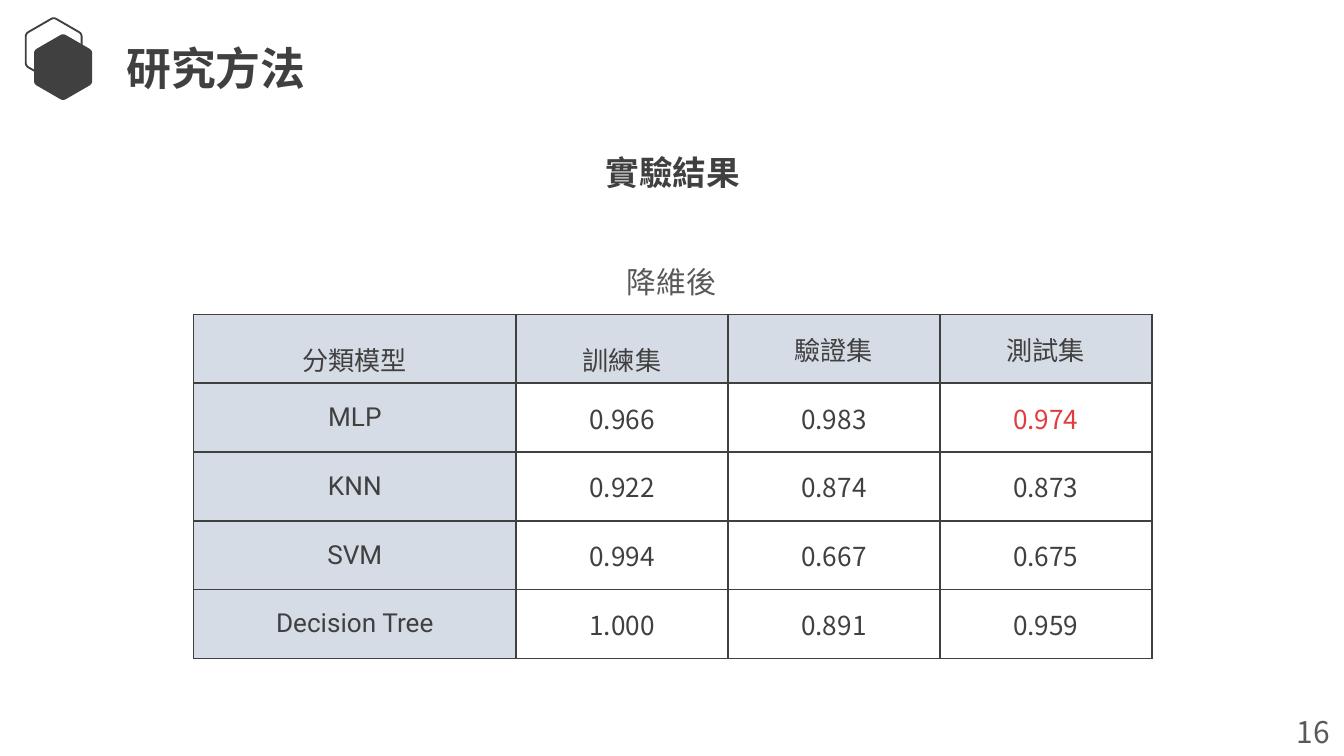
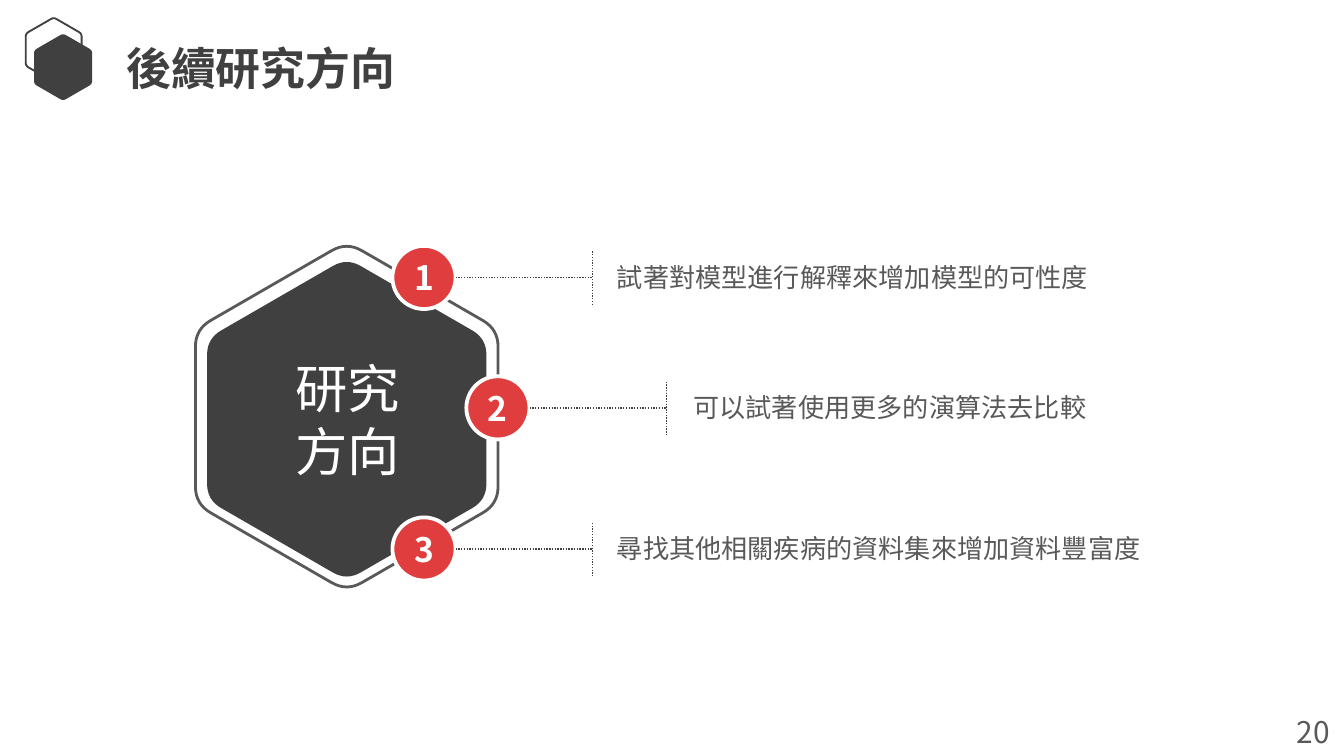
import math
from dataclasses import dataclass

import lxml.etree
import pptx
import pptx.dml.color
import pptx.enum.dml
import pptx.enum.shapes
import pptx.enum.text
import pptx.oxml.ns
import pptx.util

Inches = pptx.util.Inches
Align = pptx.enum.text.PP_ALIGN
Anchor = pptx.enum.text.MSO_ANCHOR
qn = pptx.oxml.ns.qn


@dataclass(frozen=True)
class Theme:
    dark: str = "404040"
    gray: str = "595959"
    red: str = "E03E3E"
    white: str = "FFFFFF"
    header: str = "D6DCE5"
    font: str = "Noto Sans CJK JP"
    latin: str = "Roboto"
    title: int = 24
    subtitle: int = 18
    caption: int = 16
    body: int = 14
    hub: int = 28


THEME = Theme()
SLIDE_WIDTH = 10
SLIDE_HEIGHT = SLIDE_WIDTH * 9 / 16
NO_INSETS = (0, 0)
DEFAULT_INSETS = (0.1, 0.05)
SMALL_INSETS = (0.07, 0.04)
CAPTION_INSETS = (0.11, 0.06)

RESULTS = {
    "title": "研究方法",
    "title_width": 3.54,
    "number": "16",
    "subtitle": "實驗結果",
    "caption": "降維後",
    "rows": [
        ("分類模型", "訓練集", "驗證集", "測試集"),
        ("MLP", "0.966", "0.983", "0.974"),
        ("KNN", "0.922", "0.874", "0.873"),
        ("SVM", "0.994", "0.667", "0.675"),
        ("Decision Tree", "1.000", "0.891", "0.959"),
    ],
    "best": "0.974",
    "place": (1.44, 2.34, 7.13, 2.56),
    "model_width": 2.4,
}

DIRECTIONS = {
    "title": "後續研究方向",
    "title_width": 2.32,
    "number": "20",
    "hub": "研究\n方向",
    "points": [
        ("試著對模型進行解釋來增加模型的可性度", 2.92, 1.83, 4.59, 3.95),
        ("可以試著使用更多的演算法去比較", 3.47, 2.8, 5.16, 3.39),
        ("尋找其他相關疾病的資料集來增加資料豐富度", 2.92, 3.85, 4.59, 3.95),
    ],
}
BADGE = 0.47
LEADER = 1.02
TICK = 0.39
LABEL_HEIGHT = 0.24
HEXAGON_ROUNDING = 0.1


def rgb(color):
    return pptx.dml.color.RGBColor.from_string(color)


def paint(target, color):
    target.fill.solid()
    target.fill.fore_color.rgb = rgb(color)


def outline(shape, color, width):
    shape.line.color.rgb = rgb(color)
    shape.line.width = pptx.util.Pt(width)


def write(para, text, size, color, bold=False, font=THEME.font, align=Align.LEFT, spacing=None):
    para.text = text
    para.alignment = align
    if spacing:
        para.line_spacing = spacing
    para.font.size = pptx.util.Pt(size)
    para.font.bold = bold
    para.font.name = font
    para.font.color.rgb = rgb(color)
    properties = para._p.pPr.find(qn("a:defRPr"))
    lxml.etree.SubElement(properties, qn("a:ea"), typeface=THEME.font)


def set_insets(frame, insets):
    frame.margin_left = frame.margin_right = Inches(insets[0])
    frame.margin_top = frame.margin_bottom = Inches(insets[1])


def add_text(page, place, text, size, color, insets=DEFAULT_INSETS, wrap=True,
             anchor=Anchor.TOP, **style):
    box = page.shapes.add_textbox(*map(Inches, place))
    frame = box.text_frame
    frame.word_wrap = wrap
    frame.auto_size = pptx.enum.text.MSO_AUTO_SIZE.SHAPE_TO_FIT_TEXT
    frame.vertical_anchor = anchor
    set_insets(frame, insets)
    write(frame.paragraphs[0], text, size, color, **style)


def hexagon_points(x, y, radius, steps=8):
    corners = [
        (x + radius * math.sin(math.radians(60 * i)), y - radius * math.cos(math.radians(60 * i)))
        for i in range(6)
    ]

    def blend(start, end, share):
        return tuple(a + (b - a) * share for a, b in zip(start, end))

    points = []
    for i, corner in enumerate(corners):
        entry = blend(corner, corners[i - 1], HEXAGON_ROUNDING)
        leave = blend(corner, corners[(i + 1) % 6], HEXAGON_ROUNDING)
        for step in range(steps + 1):
            share = step / steps
            points.append(blend(blend(entry, corner, share), blend(corner, leave, share), share))
    return [(Inches(px), Inches(py)) for px, py in points]


def add_hexagon(page, x, y, radius, fill=None, line=None):
    points = hexagon_points(x, y, radius)
    builder = page.shapes.build_freeform(*points[0])
    builder.add_line_segments(points[1:], close=True)
    shape = builder.convert_to_shape()
    shape.shadow.inherit = False
    if fill:
        paint(shape, fill)
    else:
        shape.fill.background()
    if line:
        outline(shape, *line)
    else:
        shape.line.fill.background()


def add_dotted_line(page, *ends):
    line = page.shapes.add_connector(
        pptx.enum.shapes.MSO_CONNECTOR.STRAIGHT, *map(Inches, ends))
    outline(line, THEME.dark, 0.75)
    line.line.dash_style = pptx.enum.dml.MSO_LINE.ROUND_DOT
    lxml.etree.SubElement(line._element.spPr, qn("a:effectLst"))


def add_page(deck, content):
    page = deck.slides.add_slide(deck.slide_layouts[6])
    add_hexagon(page, 0.4, 0.37, 0.24, line=(THEME.dark, 1))
    add_hexagon(page, 0.47, 0.5, 0.25, fill=THEME.dark)
    add_text(page, (0.87, 0.26, content["title_width"], 0.48), content["title"],
             THEME.title, THEME.dark, insets=SMALL_INSETS, bold=True)
    add_text(page, (9.55, 5.26, 0.46, 0.37), content["number"], THEME.caption, THEME.gray,
             wrap=False)
    return page


def add_borders(cell):
    properties = cell._tc.get_or_add_tcPr()
    for index, side in enumerate(("lnL", "lnR", "lnT", "lnB")):
        border = lxml.etree.Element(qn("a:" + side), w=str(pptx.util.Pt(1)))
        fill = lxml.etree.SubElement(border, qn("a:solidFill"))
        lxml.etree.SubElement(fill, qn("a:srgbClr"), val=THEME.dark)
        properties.insert(index, border)


def add_results_table(page, content):
    rows, model_width = content["rows"], content["model_width"]
    left, top, width, height = content["place"]
    score_count = len(rows[0]) - 1
    widths = [model_width] + [(width - model_width) / score_count] * score_count
    table = page.shapes.add_table(
        len(rows), len(widths), *map(Inches, (left, top, width, height))).table
    for column, column_width in zip(table.columns, widths):
        column.width = Inches(column_width)
    for r, values in enumerate(rows):
        table.rows[r].height = Inches(height / len(rows))
        for c, value in enumerate(values):
            cell = table.cell(r, c)
            cell.vertical_anchor = Anchor.MIDDLE
            paint(cell, THEME.header if r == 0 or c == 0 else THEME.white)
            add_borders(cell)
            write(cell.text_frame.paragraphs[0], value, THEME.body,
                  THEME.red if value == content["best"] else THEME.dark,
                  font=THEME.latin if r > 0 and c == 0 else THEME.font,
                  align=Align.CENTER, spacing=1.5 if r == 0 and c < 2 else None)


def add_results(deck, content):
    page = add_page(deck, content)
    add_text(page, (1.69, 1.77, 6.61, 0.47), content["caption"], THEME.caption, THEME.gray,
             insets=CAPTION_INSETS, font=THEME.latin, align=Align.CENTER, spacing=1.5)
    add_results_table(page, content)
    add_text(page, (2.07, 1.08, 5.87, 0.4), content["subtitle"], THEME.subtitle, THEME.dark,
             anchor=Anchor.MIDDLE, bold=True, align=Align.CENTER)


def add_badge(page, number, left, top):
    badge = page.shapes.add_shape(
        pptx.enum.shapes.MSO_SHAPE.OVAL, *map(Inches, (left, top, BADGE, BADGE)))
    badge.shadow.inherit = False
    paint(badge, THEME.red)
    outline(badge, THEME.white, 2)
    frame = badge.text_frame
    frame.vertical_anchor = Anchor.MIDDLE
    set_insets(frame, SMALL_INSETS)
    write(frame.paragraphs[0], str(number), THEME.subtitle, THEME.white,
          bold=True, align=Align.CENTER)


def add_directions(deck, content):
    page = add_page(deck, content)
    add_hexagon(page, 2.58, 3.12, 1.2, fill=THEME.dark)
    add_text(page, (2.01, 2.65, 1.15, 0.94), content["hub"], THEME.hub, THEME.white,
             insets=NO_INSETS, align=Align.CENTER)
    add_hexagon(page, 2.58, 3.1, 1.3, line=(THEME.gray, 1.5))
    for number, (text, left, top, text_left, width) in enumerate(content["points"], 1):
        add_badge(page, number, left, top)
        y = top + BADGE / 2
        start = left + BADGE
        end = start + LEADER
        add_dotted_line(page, start, y, end, y)
        add_dotted_line(page, end, y - TICK / 2, end, y + TICK / 2)
        add_text(page, (text_left, y - LABEL_HEIGHT / 2, width, LABEL_HEIGHT), text,
                 THEME.body, THEME.gray, insets=NO_INSETS, align=Align.JUSTIFY)


def main():
    deck = pptx.Presentation()
    deck.slide_width = Inches(SLIDE_WIDTH)
    deck.slide_height = Inches(SLIDE_HEIGHT)
    add_results(deck, RESULTS)
    add_directions(deck, DIRECTIONS)
    deck.save("out.pptx")


if __name__ == "__main__":
    main()
